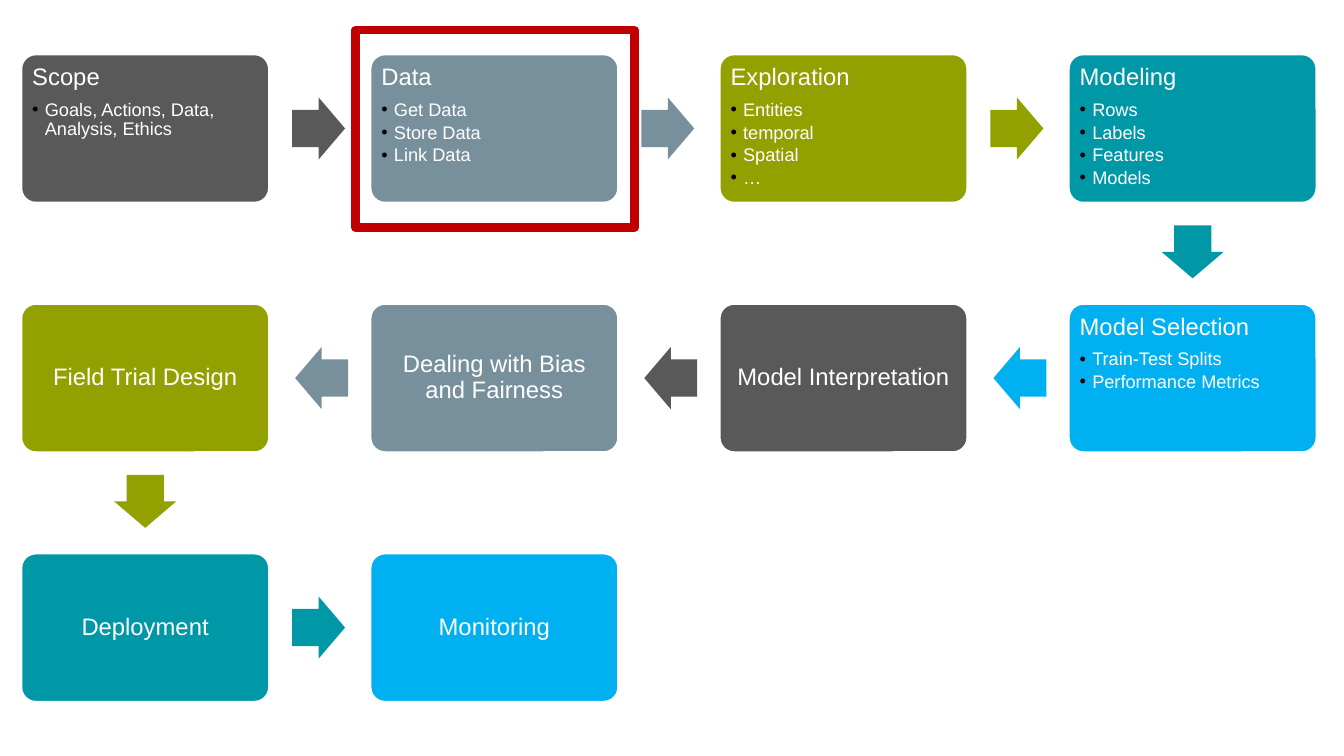
from lxml.etree import SubElement
from pptx import Presentation
from pptx.dml.color import RGBColor
from pptx.enum.shapes import MSO_SHAPE
from pptx.enum.text import MSO_ANCHOR, PP_ALIGN
from pptx.oxml.ns import qn
from pptx.util import Pt

WHITE = RGBColor(0xFF, 0xFF, 0xFF)
RED = RGBColor(0xC0, 0x00, 0x00)
GREY = RGBColor(0x59, 0x59, 0x59)
SLATE = RGBColor(0x78, 0x90, 0x9C)
OLIVE = RGBColor(0x92, 0xA0, 0x00)
TEAL = RGBColor(0x00, 0x97, 0xA7)
BLUE = RGBColor(0x00, 0xB0, 0xF0)
COLORS = [GREY, SLATE, OLIVE, TEAL, BLUE]

STEPS = [
    ("Scope", ["Goals, Actions, Data, Analysis, Ethics"]),
    ("Data", ["Get Data", "Store Data", "Link Data"]),
    ("Exploration", ["Entities", "temporal", "Spatial", "…"]),
    ("Modeling", ["Rows", "Labels", "Features", "Models"]),
    ("Model Selection", ["Train-Test Splits", "Performance Metrics"]),
    ("Model Interpretation", []),
    ("Dealing with Bias and Fairness", []),
    ("Field Trial Design", []),
    ("Deployment", []),
    ("Monitoring", []),
]
COLUMNS = 4
CARD_WIDTH, CARD_HEIGHT = 177.6, 106.6
PITCH_X, PITCH_Y = 249.4, 178.25
ARROW_LENGTH, ARROW_WIDTH = 37.8, 44.4
# Arrow centre measured from the card centre, by rotation
ARROW_SHIFT = {0: (123.9, 0), 90: (0, 88.1), 180: (-123.4, 0)}

FRAME_FORMAT = {"margin_left": Pt(5), "margin_right": Pt(5), "margin_top": Pt(5),
                "margin_bottom": Pt(5), "word_wrap": True}
TITLE_FORMAT = {"line_spacing": 0.9, "space_after": Pt(6.8)}
ITEM_FORMAT = {"line_spacing": 0.9, "space_after": Pt(2.25), "level": 1}


def apply(target, values):
    for name, value in values.items():
        setattr(target, name, value)


def add_box(page, kind, box, fill=None, line=None, weight=0):
    shape = page.shapes.add_shape(kind, *(Pt(length) for length in box))
    shape.shadow.inherit = False
    for part, color in ((shape.fill, fill), (shape.line.fill, line)):
        if color is None:
            part.background()
        else:
            part.solid()
            part.fore_color.rgb = color
    if line is not None:
        shape.line.width = Pt(weight)
    return shape


def add_text(para, text, size, values):
    apply(para, values)
    span = para.add_run()
    span.text = text
    apply(span.font, {"name": "Arial", "size": Pt(size)})
    span.font.color.rgb = WHITE


def add_bullet(para):
    props = para._p.get_or_add_pPr()
    props.set("marL", str(Pt(9)))
    props.set("indent", str(-Pt(9)))
    color = SubElement(props, qn("a:buClr"))
    SubElement(color, qn("a:srgbClr"), val="000000")
    SubElement(props, qn("a:buFont"), typeface="Arial")
    SubElement(props, qn("a:buChar"), char="•")


def draw_card(page, box, title, items, color):
    card = add_box(page, MSO_SHAPE.ROUNDED_RECTANGLE, box, color, WHITE, 2)
    card.adjustments[0] = 0.1
    frame = card.text_frame
    apply(frame, FRAME_FORMAT)
    frame.vertical_anchor = MSO_ANCHOR.TOP if items else MSO_ANCHOR.MIDDLE
    align = PP_ALIGN.LEFT if items else PP_ALIGN.CENTER
    add_text(frame.paragraphs[0], title, 17, {**TITLE_FORMAT, "alignment": align})
    for item in items:
        para = frame.add_paragraph()
        add_text(para, item, 13, {**ITEM_FORMAT, "alignment": align})
        add_bullet(para)


def draw_arrow(page, box, rotation, color):
    left, top, width, height = box
    shift_x, shift_y = ARROW_SHIFT[rotation]
    arrow = add_box(page, MSO_SHAPE.RIGHT_ARROW,
                    (left + (width - ARROW_LENGTH) / 2 + shift_x,
                     top + (height - ARROW_WIDTH) / 2 + shift_y,
                     ARROW_LENGTH, ARROW_WIDTH), color)
    arrow.rotation = rotation
    arrow.adjustments[0] = 0.6
    arrow.adjustments[1] = 0.5


def draw_process(page, left, top):
    """Lay the steps out in a snake: odd rows run right to left."""
    for index, (title, items) in enumerate(STEPS):
        row, column = divmod(index, COLUMNS)
        row_end = column == COLUMNS - 1
        backward = row % 2 == 1
        if backward:
            column = COLUMNS - 1 - column
        box = (left + column * PITCH_X, top + row * PITCH_Y, CARD_WIDTH, CARD_HEIGHT)
        color = COLORS[index % len(COLORS)]
        draw_card(page, box, title, items, color)
        if index < len(STEPS) - 1:
            rotation = 90 if row_end else 180 if backward else 0
            draw_arrow(page, box, rotation, color)


deck = Presentation()
apply(deck, {"slide_width": Pt(960), "slide_height": Pt(540)})
page = deck.slides.add_slide(deck.slide_layouts[6])

# Process steps
draw_process(page, 14.9, 38.5)

# Highlight around the Data step
add_box(page, MSO_SHAPE.RECTANGLE, (253.9, 21.6, 199.4, 141), None, RED, 6)

deck.save("out.pptx")
